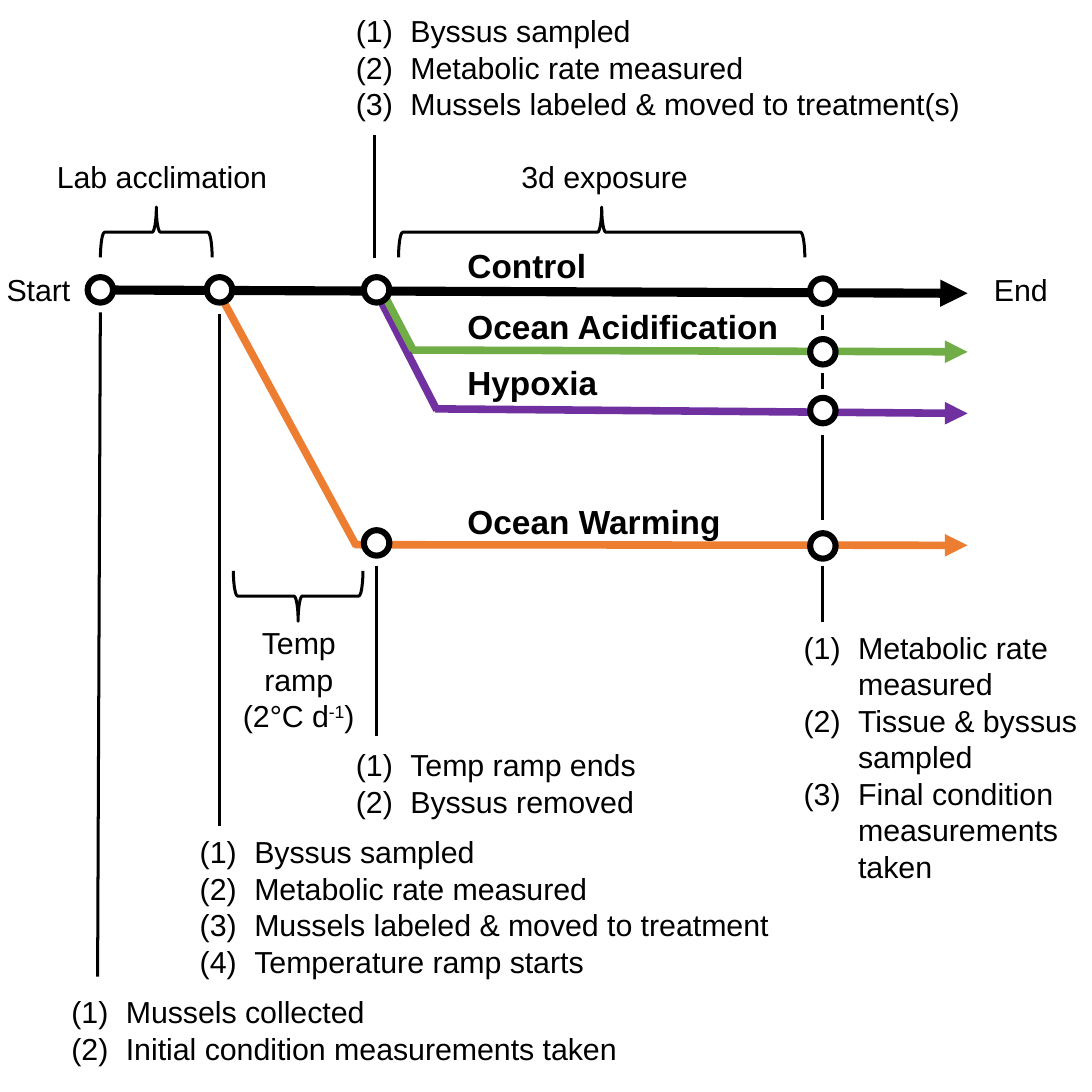
from dataclasses import dataclass

from lxml import etree
from pptx import Presentation
from pptx.dml.color import RGBColor
from pptx.enum.shapes import MSO_CONNECTOR, MSO_SHAPE
from pptx.enum.text import MSO_AUTO_SIZE, PP_ALIGN
from pptx.oxml.ns import qn
from pptx.util import Pt

STRAIGHT = MSO_CONNECTOR.STRAIGHT
OVAL = MSO_SHAPE.OVAL
LEFT_BRACE = MSO_SHAPE.LEFT_BRACE
FIT_SHAPE = MSO_AUTO_SIZE.SHAPE_TO_FIT_TEXT
LEFT = PP_ALIGN.LEFT
CENTER = PP_ALIGN.CENTER


@dataclass(frozen=True)
class Theme:
    font: str = "Arial"
    black: str = "000000"
    white: str = "FFFFFF"
    green: str = "70AD47"
    purple: str = "7030A0"
    orange: str = "ED7D31"
    note_size: float = 10
    treatment_size: float = 11
    thin: float = 1
    marker_line: float = 2
    branch: float = 2.5
    trunk: float = 3
    marker: float = 8.4
    brace_depth: float = 16.6
    indent: float = 18


class Diagram:
    def __init__(self, slide, theme):
        self.shapes = slide.shapes
        self.theme = theme

    def line(self, start, end, color, width, arrow=False):
        connector = self.shapes.add_connector(STRAIGHT, *map(Pt, start + end))
        connector.line.color.rgb = RGBColor.from_string(color)
        connector.line.width = Pt(width)
        if arrow:
            etree.SubElement(connector.line._get_or_add_ln(), qn("a:tailEnd"), type="triangle")
        etree.SubElement(connector._element.spPr, qn("a:effectLst"))

    def outline(self, preset, box, width):
        shape = self.shapes.add_shape(preset, *map(Pt, box))
        shape.shadow.inherit = False
        shape.line.color.rgb = RGBColor.from_string(self.theme.black)
        shape.line.width = Pt(width)
        return shape

    def marker(self, x, y):
        size = self.theme.marker
        shape = self.outline(OVAL, (x - size / 2, y - size / 2, size, size), self.theme.marker_line)
        shape.fill.solid()
        shape.fill.fore_color.rgb = RGBColor.from_string(self.theme.white)

    def brace(self, left, top, span, rotation):
        depth = self.theme.brace_depth
        shift = (span - depth) / 2
        shape = self.outline(LEFT_BRACE, (left + shift, top - shift, depth, span), self.theme.thin)
        shape.fill.background()
        shape.rotation = rotation

    def text(self, box, paragraphs, size=None, bold=False, numbered=False, wrap=False, align=LEFT):
        frame = self.shapes.add_textbox(*map(Pt, box)).text_frame
        frame.word_wrap = wrap
        frame.auto_size = FIT_SHAPE
        for index, content in enumerate(paragraphs):
            paragraph = frame.add_paragraph() if index else frame.paragraphs[0]
            paragraph.alignment = align
            if numbered:
                self.number(paragraph)
            for position, part in enumerate(content.split("^")):
                run = paragraph.add_run()
                run.text = part
                if position % 2:
                    run._r.get_or_add_rPr().set("baseline", "30000")
            font = paragraph.font
            font.name = self.theme.font
            font.size = Pt(size or self.theme.note_size)
            font.bold = bold
            font.color.rgb = RGBColor.from_string(self.theme.black)

    def number(self, paragraph):
        properties = paragraph._p.get_or_add_pPr()
        indent = Pt(self.theme.indent)
        properties.set("marL", str(indent))
        properties.set("indent", str(-indent))
        etree.SubElement(properties, qn("a:buFont"), typeface=self.theme.font)
        etree.SubElement(properties, qn("a:buAutoNum"), type="arabicParenBoth")


def main():
    theme = Theme()
    presentation = Presentation()
    presentation.slide_width = presentation.slide_height = Pt(360)
    slide = presentation.slides.add_slide(presentation.slide_layouts[6])
    diagram = Diagram(slide, theme)

    start_x, acclimated_x, exposure_x, end_x, arrow_x = 33.1, 72.4, 124.2, 271.3, 319

    for start, end in (
        ((end_x, 103.7), (end_x, 108.7)),
        ((end_x, 123.1), (end_x, 128.2)),
        ((end_x, 143.3), (end_x, 171.4)),
        ((end_x, 186.5), (end_x, 205)),
        ((123.4, 85), (123.4, 44.6)),
        ((start_x, 103), (32.2, 322)),
        ((acclimated_x, 103.5), (acclimated_x, 272.3)),
        ((exposure_x, 186.5), (exposure_x, 242.6)),
    ):
        diagram.line(start, end, theme.black, theme.thin)

    for start, end, color, width, arrow in (
        ((134.6, 115.4), (arrow_x, 116), theme.green, theme.branch, True),
        ((144, 135.2), (126, 100.1), theme.purple, theme.branch, False),
        ((28.8, 95.6), (arrow_x, 96.7), theme.black, theme.trunk, True),
        ((143.4, 134.8), (arrow_x, 136.3), theme.purple, theme.branch, True),
        ((116.8, 179.6), (arrow_x, 179.8), theme.orange, theme.branch, True),
        ((117.5, 180), (72.2, 96.6), theme.orange, theme.branch, False),
        ((136.2, 115.4), (127.4, 98.6), theme.green, theme.branch, False),
    ):
        diagram.line(start, end, color, width, arrow)

    for x in (start_x, acclimated_x, exposure_x):
        diagram.marker(x, 95.6)
    diagram.marker(exposure_x, 179)
    for y in (96, 116, 135.4, 180):
        diagram.marker(end_x, y)

    for left, top, span, rotation in (
        (33.1, 68.3, 36.8, 90),
        (131.4, 68.3, 133.9, 90),
        (77, 188.2, 42.7, 270),
    ):
        diagram.brace(left, top, span, rotation)

    for name, top, width in (
        ("Control", 77.2, 54),
        ("Ocean Acidification", 97.4, 118),
        ("Hypoxia", 116, 57.6),
        ("Ocean Warming", 161.6, 102.3),
    ):
        diagram.text((147, top, width, 20.6), [name], theme.treatment_size, bold=True)

    for label, left, top, width in (
        ("Lab acclimation", 11.7, 48.5, 84.2),
        ("3d exposure", 164.8, 48.5, 72.7),
        ("Start", -4.9, 86, 36),
        ("End", 320.6, 86, 32.4),
    ):
        diagram.text((left, top, width, 19.4), [label])

    diagram.text((72.2, 202.3, 52.6, 43.9), ["Temp ramp (2°C d^-1^)"], wrap=True, align=CENTER)

    sampling = ["Byssus sampled", "Metabolic rate measured"]
    for box, steps, wrap in (
        ((16.4, 324, 202.3, 31.5), ["Mussels collected", "Initial condition measurements taken"], True),
        ((58.8, 271.2, 203.8, 55.6),
         sampling + ["Mussels labeled & moved to treatment", "Temperature ramp starts"], False),
        ((110.2, 242.6, 108.7, 31.5), ["Temp ramp ends", "Byssus removed"], False),
        ((110.2, 0.6, 215.3, 43.9), sampling + ["Mussels labeled & moved to treatment(s)"], False),
        ((257.8, 203.8, 108.7, 92.2),
         ["Metabolic rate measured", "Tissue & byssus sampled", "Final condition measurements taken"], True),
    ):
        diagram.text(box, steps, numbered=True, wrap=wrap)

    presentation.save("out.pptx")


if __name__ == "__main__":
    main()
